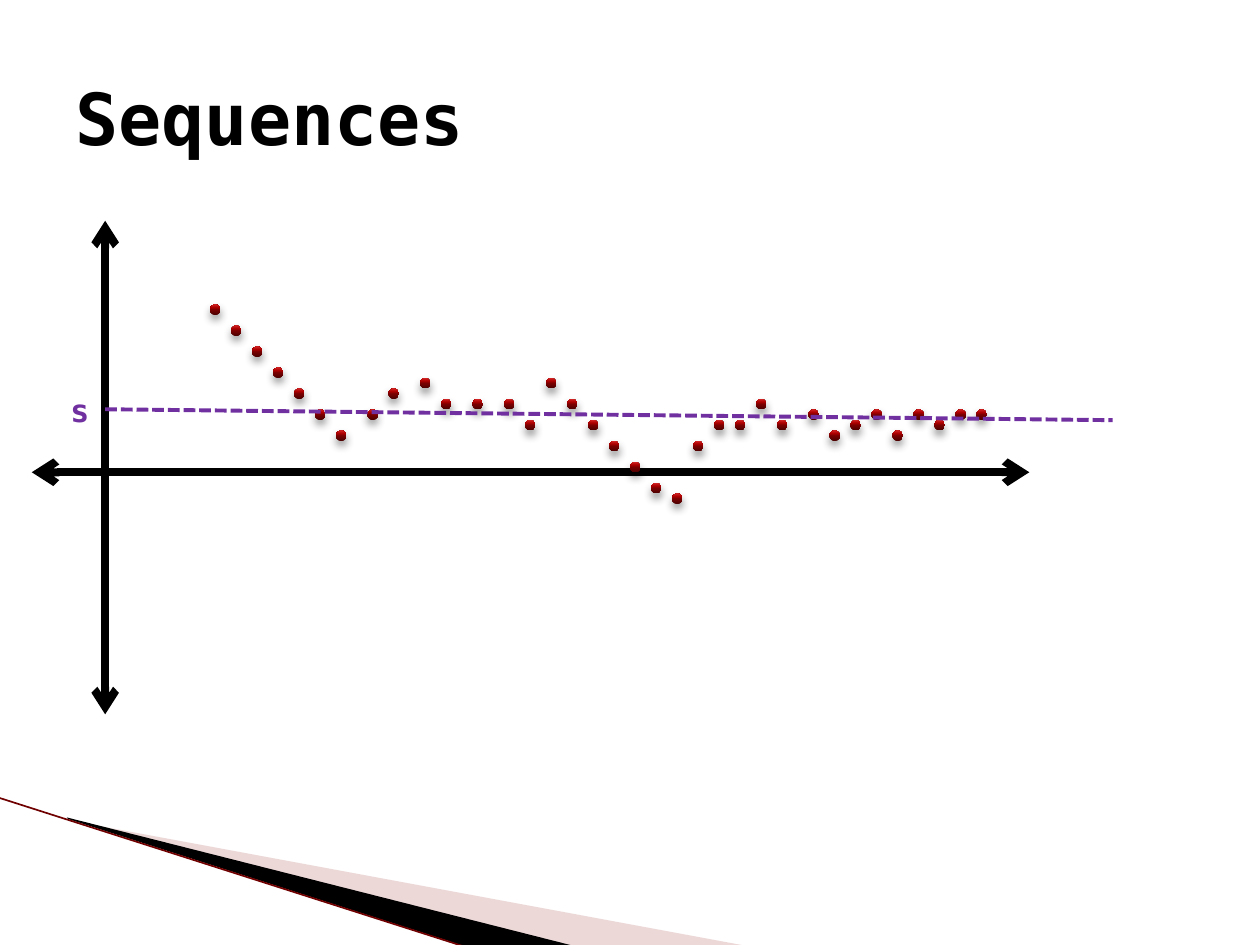
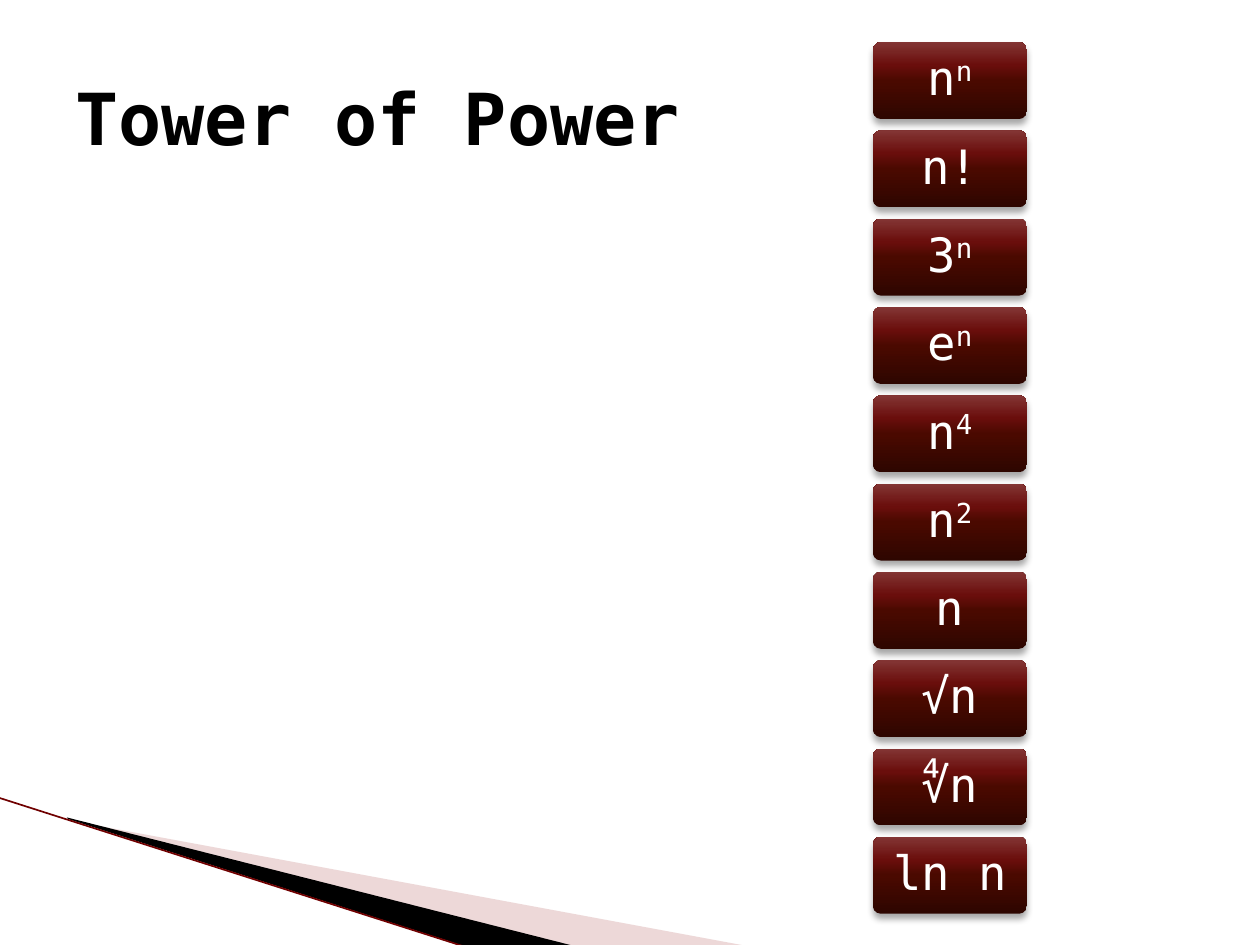
"""Build two slides: a converging sequence plot and a tower of growth rates."""
from dataclasses import dataclass
from typing import NamedTuple, Optional

from lxml.etree import SubElement
from pptx import Presentation
from pptx.dml.color import RGBColor
from pptx.enum.dml import MSO_LINE
from pptx.enum.shapes import MSO_CONNECTOR, MSO_SHAPE
from pptx.enum.text import MSO_ANCHOR, PP_ALIGN
from pptx.oxml.ns import qn
from pptx.util import Cm, Pt

FONT = "DejaVu Sans Mono"
COLORS = {
    "ink": "000000",
    "paper": "FFFFFF",
    "limit": "7030A0",
    "pale_band": "D29E9E",
    "band_edge": "700000",
}
TERM_GRADIENT = ((0, "4C0000"), (50, "7B0000"), (70, "AD0000"), (100, "D02424"))
TOWER_GRADIENT = ((0, "2E0600"), (50, "4A0900"), (70, "6A0E0C"), (100, "833534"))


class Point(NamedTuple):
    x: float
    y: float


class Box(NamedTuple):
    left: float
    top: float
    width: float
    height: float

    def lengths(self) -> list:
        return [Cm(value) for value in self]


class Shadow(NamedTuple):
    opacity: int
    blur: float
    distance: float


class Growth(NamedTuple):
    base: str
    exponent: str = ""


@dataclass(frozen=True)
class Band:
    corners: tuple
    color: str
    opacity: int = 100


@dataclass(frozen=True)
class Stroke:
    start: Point
    end: Point
    color: str
    weight: float
    arrows: bool = False
    dash: Optional[MSO_LINE] = None


BANDS = (
    Band((Point(1.4, 16.54), Point(15.11, 19.08), Point(11.58, 19.08), Point(1.4, 16.51)),
         "pale_band", 40),
    Band((Point(1.35, 16.48), Point(11.61, 19.08), Point(9.45, 19.1), Point(1.37, 16.51)),
         "ink"),
)
BAND_EDGE = Stroke(Point(-0.03, 16.08), Point(9.42, 19.1), "band_edge", 0.95)
TITLE_BOX = Box(1.27, 0.76, 22.86, 3.18)

AXES = (
    Stroke(Point(2.12, 4.45), Point(2.12, 14.4), "ink", 4.5, arrows=True),
    Stroke(Point(0.64, 9.52), Point(20.75, 9.52), "ink", 4.5, arrows=True),
)
LIMIT_LINE = Stroke(Point(2.12, 8.25), Point(22.43, 8.47), "limit", 2.25,
                    dash=MSO_LINE.SQUARE_DOT)
LIMIT_BOX = Box(1.17, 7.75, 0.84, 1.07)

GRID = 2.54 / 12
TERMS = (
    (20, 29), (22, 31), (24, 33), (26, 35), (28, 37), (30, 39), (32, 41),
    (35, 39), (37, 37), (40, 36), (42, 38), (45, 38), (48, 38), (50, 40),
    (52, 36), (54, 38), (56, 40), (58, 42), (60, 44), (62, 46), (64, 47),
    (66, 42), (68, 40), (70, 40), (72, 38), (74, 40), (77, 39), (79, 41),
    (81, 40), (83, 39), (85, 41), (87, 39), (89, 40), (91, 39), (93, 39),
)
TERM_SHADOW = Shadow(45, 5, 3)

TOWER = (
    Growth("n", "n"), Growth("n!"), Growth("3", "n"), Growth("e", "n"),
    Growth("n", "4"), Growth("n", "2"), Growth("n"), Growth("√n"),
    Growth("∜n"), Growth("ln n"),
)
TOWER_TOP = Box(17.6, 0.85, 3.1, 1.55)
TOWER_PITCH = 1.78
TOWER_SHADOW = Shadow(35, 4, 3)


def rgb(name: str) -> RGBColor:
    return RGBColor.from_string(COLORS[name])


def style_run(run, size: float, color: str, bold: bool = False) -> None:
    run.font.name = FONT
    run.font.size = Pt(size)
    run.font.bold = bold
    run.font.color.rgb = rgb(color)


def add_label(slide, box: Box, text: str, size: float, color: str, anchor) -> None:
    label = slide.shapes.add_textbox(*box.lengths())
    frame = label.text_frame
    frame.word_wrap = True
    frame.vertical_anchor = anchor
    frame.text = text
    style_run(frame.paragraphs[0].runs[0], size, color, bold=True)


def add_stroke(slide, stroke: Stroke) -> None:
    ends = [Cm(value) for value in (*stroke.start, *stroke.end)]
    connector = slide.shapes.add_connector(MSO_CONNECTOR.STRAIGHT, *ends)
    connector.line.color.rgb = rgb(stroke.color)
    connector.line.width = Pt(stroke.weight)
    if stroke.dash is not None:
        connector.line.dash_style = stroke.dash
    if stroke.arrows:
        outline = connector.line._get_or_add_ln()
        for end in ("a:headEnd", "a:tailEnd"):
            SubElement(outline, qn(end), type="arrow")
    SubElement(connector._element.spPr, qn("a:effectLst"))


def add_band(slide, band: Band) -> None:
    first, *others = [(Cm(corner.x), Cm(corner.y)) for corner in band.corners]
    builder = slide.shapes.build_freeform(*first)
    builder.add_line_segments(others)
    wedge = builder.convert_to_shape()
    wedge.shadow.inherit = False
    wedge.line.fill.background()
    wedge.fill.solid()
    wedge.fill.fore_color.rgb = rgb(band.color)
    if band.opacity < 100:
        tint = wedge._element.spPr.find(".//" + qn("a:srgbClr"))
        SubElement(tint, qn("a:alpha"), val=str(band.opacity * 1000))


def add_glossy(slide, preset, box: Box, gradient: tuple, shadow: Shadow):
    glossy = slide.shapes.add_shape(preset, *box.lengths())
    glossy.line.fill.background()
    glossy.fill.gradient()
    glossy.fill.gradient_angle = 90
    properties = glossy._element.spPr
    stops = properties.find(".//" + qn("a:gsLst"))
    for stop in list(stops):
        stops.remove(stop)
    for position, color in gradient:
        stop = SubElement(stops, qn("a:gs"), pos=str(position * 1000))
        SubElement(stop, qn("a:srgbClr"), val=color)
    glossy.shadow.inherit = False
    cast = SubElement(properties.find(qn("a:effectLst")), qn("a:outerShdw"),
                      blurRad=str(Pt(shadow.blur)), dist=str(Pt(shadow.distance)),
                      dir="5400000", rotWithShape="0")
    shade = SubElement(cast, qn("a:srgbClr"), val=COLORS["ink"])
    SubElement(shade, qn("a:alpha"), val=str(shadow.opacity * 1000))
    return glossy


def add_tower_block(slide, growth: Growth, level: int) -> None:
    box = TOWER_TOP._replace(top=TOWER_TOP.top + level * TOWER_PITCH)
    block = add_glossy(slide, MSO_SHAPE.ROUNDED_RECTANGLE, box, TOWER_GRADIENT, TOWER_SHADOW)
    block.adjustments[0] = 0.1
    frame = block.text_frame
    frame.word_wrap = True
    frame.vertical_anchor = MSO_ANCHOR.MIDDLE
    frame.margin_left = frame.margin_right = Cm(0.1)
    frame.margin_top = frame.margin_bottom = Cm(0.1)
    frame.text = growth.base
    formula = frame.paragraphs[0]
    formula.alignment = PP_ALIGN.CENTER
    formula.line_spacing = 0.9
    if growth.exponent:
        exponent = formula.add_run()
        exponent.text = growth.exponent
        exponent.font._element.set("baseline", "30000")
    for run in formula.runs:
        style_run(run, 27, "paper")


def add_titled_slide(deck, title: str):
    slide = deck.slides.add_slide(deck.slide_layouts[6])
    for band in BANDS:
        add_band(slide, band)
    add_stroke(slide, BAND_EDGE)
    add_label(slide, TITLE_BOX, title, 41, "ink", MSO_ANCHOR.MIDDLE)
    return slide


def build_sequences(deck) -> None:
    slide = add_titled_slide(deck, "Sequences")
    for axis in AXES:
        add_stroke(slide, axis)
    for column, row in TERMS:
        box = Box(column * GRID, row * GRID, GRID, GRID)
        add_glossy(slide, MSO_SHAPE.OVAL, box, TERM_GRADIENT, TERM_SHADOW)
    add_stroke(slide, LIMIT_LINE)
    add_label(slide, LIMIT_BOX, "s", 18, "limit", MSO_ANCHOR.TOP)


def build_tower(deck) -> None:
    slide = add_titled_slide(deck, "Tower of Power")
    for level, growth in enumerate(TOWER):
        add_tower_block(slide, growth, level)


def main() -> None:
    deck = Presentation()
    deck.slide_width = Cm(25.4)
    deck.slide_height = Cm(19.05)
    build_sequences(deck)
    build_tower(deck)
    deck.save("out.pptx")


if __name__ == "__main__":
    main()
